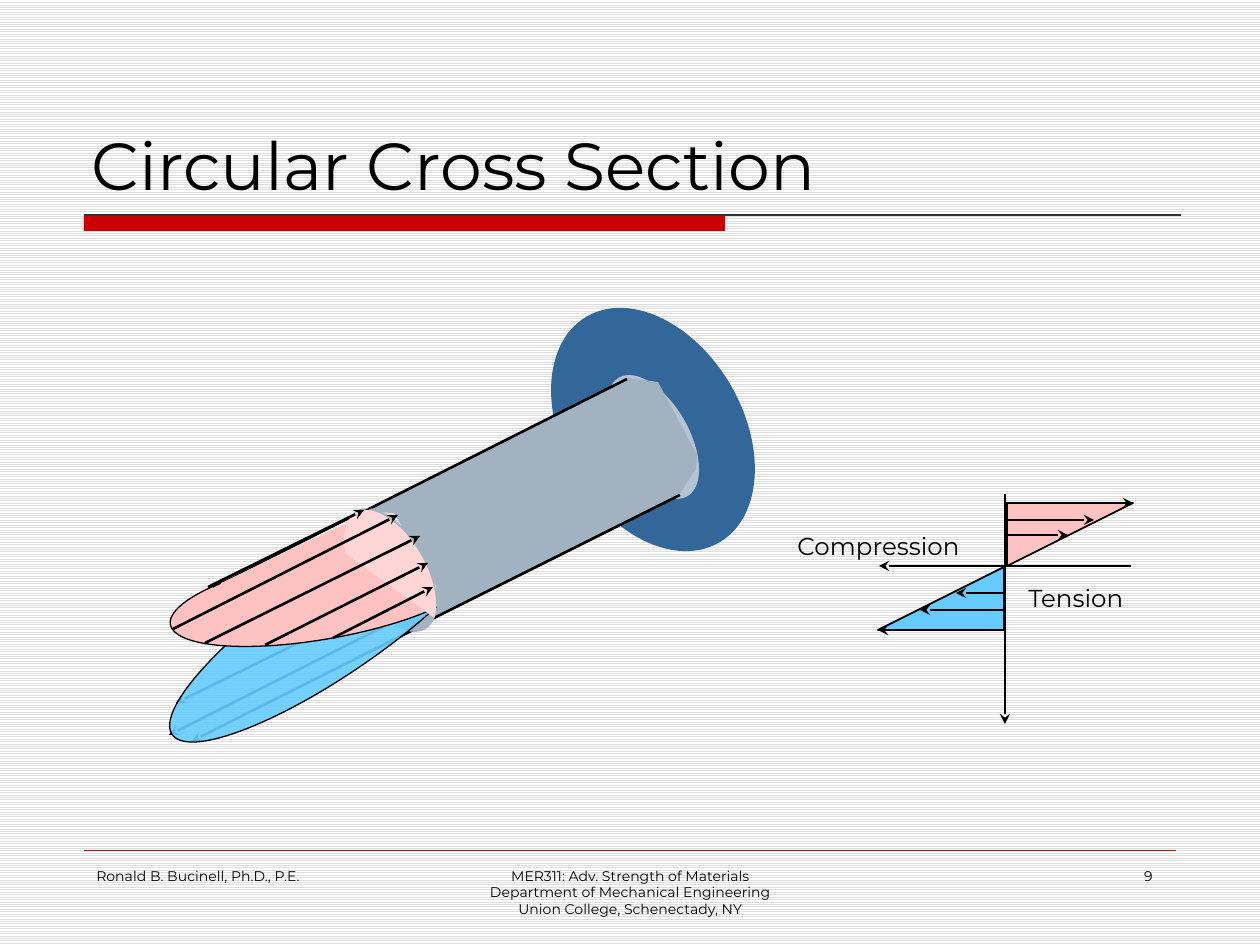
from dataclasses import dataclass

from lxml.etree import SubElement
from pptx import Presentation
from pptx.dml.color import RGBColor
from pptx.enum.dml import MSO_PATTERN
from pptx.enum.shapes import MSO_CONNECTOR, MSO_SHAPE as SHAPE
from pptx.enum.text import MSO_ANCHOR as ANCHOR, PP_ALIGN as ALIGN
from pptx.oxml.ns import qn
from pptx.util import Emu, Inches, Pt

PX = 914400 / 126


@dataclass(frozen=True)
class Theme:
    font: str = "Montserrat"
    title: int = 38
    label: int = 14
    footer: int = 8
    ink: str = "000000"
    rule: str = "333333"
    accent: str = "CC0000"
    stripe: str = "DDDDDD"
    paper: str = "FFFFFF"
    wall: str = "336699"
    shaft: str = "A3B2C1"
    shaft_end: str = "B5C4D5"
    compression: str = "FFC2C2"
    section: str = "FFD6D6"
    tension: str = "66CCFF"


def emu(*lengths):
    return [Emu(round(v * PX)) for v in lengths]


def rgb(color):
    return RGBColor.from_string(color)


class Deck:
    def __init__(self, theme):
        self.theme = theme
        self.prs = Presentation()
        self.prs.slide_width, self.prs.slide_height = Inches(10), Inches(7.5)
        self.s = self.prs.slides.add_slide(self.prs.slide_layouts[5])
        fill = self.s.background.fill
        fill.patterned()
        fill.pattern = MSO_PATTERN.LIGHT_HORIZONTAL
        fill.fore_color.rgb, fill.back_color.rgb = rgb(theme.stripe), rgb(theme.paper)

    def style(self, sp, fill, line=0, rot=0, alpha=None):
        """Apply fill, black outline width (0 for none), rotation and opacity in percent."""
        sp.shadow.inherit = False
        sp.rotation = rot
        sp.fill.solid()
        sp.fill.fore_color.rgb = rgb(fill)
        if alpha:
            color = sp._element.spPr.find(qn("a:solidFill"))[0]
            SubElement(color, qn("a:alpha")).set("val", str(alpha * 1000))
        if line:
            sp.line.color.rgb, sp.line.width = rgb(self.theme.ink), Pt(line)
        else:
            sp.line.fill.background()

    def shape(self, kind, box, fill, adj=(), **look):
        sp = self.s.shapes.add_shape(kind, *emu(*box))
        for i, value in enumerate(adj):
            sp.adjustments[i] = value
        self.style(sp, fill, **look)

    def polygon(self, points, fill, **look):
        builder = self.s.shapes.build_freeform(*points[0], scale=PX)
        builder.add_line_segments(points[1:], close=True)
        self.style(builder.convert_to_shape(), fill, **look)

    def line(self, start, end, width=1.5, color=None, arrow=False):
        sp = self.s.shapes.add_connector(MSO_CONNECTOR.STRAIGHT, *emu(*start, *end))
        sp.line.color.rgb, sp.line.width = rgb(color or self.theme.ink), Pt(width)
        spPr = sp._element.spPr
        if arrow:
            SubElement(spPr.find(qn("a:ln")), qn("a:tailEnd")).set("type", "stealth")
        SubElement(spPr, qn("a:effectLst"))

    def arrows(self, pairs, width=1.5):
        for start, end in pairs:
            self.line(start, end, width, arrow=True)

    def fill_text(self, sp, lines, size, align=ALIGN.LEFT, **frame_format):
        tf = sp.text_frame
        for name, value in frame_format.items():
            setattr(tf, name, value)
        tf.text = "\n".join(lines)
        for p in tf.paragraphs:
            p.alignment = align
            for r in p.runs:
                for name, value in {"name": self.theme.font, "size": Pt(size)}.items():
                    setattr(r.font, name, value)
                r.font.color.rgb = rgb(self.theme.ink)

    def title(self, box, text):
        sp = self.s.shapes.title
        sp.left, sp.top, sp.width, sp.height = emu(*box)
        self.fill_text(sp, [text], self.theme.title, vertical_anchor=ANCHOR.BOTTOM)

    def text(self, box, lines, size, align=ALIGN.LEFT, wrap=True):
        sp = self.s.shapes.add_textbox(*emu(*box))
        self.fill_text(sp, lines, size, align, word_wrap=wrap)


def frame(deck, t):
    deck.shape(SHAPE.RECTANGLE, (84, 215, 641, 16), t.accent)
    deck.line((84, 215), (1181, 215), 0.75, t.rule)
    deck.line((84, 850), (1176, 850), 0.25, t.accent)
    deck.title((79, 42, 1103, 168), "Circular Cross Section")
    course = ["MER311: Adv. Strength of Materials",
              "Department of Mechanical Engineering",
              "Union College, Schenectady, NY"]
    for left, width, lines, align in [
            (84, 262, ["Ronald B. Bucinell, Ph.D., P.E."], ALIGN.LEFT),
            (431, 399, course, ALIGN.CENTER),
            (903, 262, ["9"], ALIGN.RIGHT)]:
        deck.text((left, 861, width, 63), lines, t.footer, align)


def shaft(deck, t):
    section = 137, 71
    tilt = 60

    def section_box(cx, cy):
        w, h = section
        return cx - w / 2, cy - h / 2, w, h

    deck.arrows([((406, 590), (176, 703)), ((421, 626), (192, 741))])
    deck.shape(SHAPE.OVAL, (522, 340, 262, 179), t.wall, rot=59.4)
    deck.shape(SHAPE.OVAL, section_box(653, 437), t.shaft_end, rot=tilt)
    deck.polygon([(364, 512), (629, 378), (658, 382), (697, 455), (696, 469),
                  (679, 495), (425, 622), (435, 599), (436, 586), (394, 513)], t.shaft)
    deck.line((420, 625), (680, 495))
    deck.line((367, 510), (627, 379))
    deck.shape(SHAPE.OVAL, section_box(391, 570), t.shaft, rot=tilt)

    deck.arrows([((383, 575), (242, 645))], 1)
    deck.arrows([((383, 627), (169, 735))])
    deck.shape(SHAPE.CHORD, (284, 426, 101, 394), t.tension,
               adj=(177.45, 135.62), line=0.75, rot=55.5, alpha=90)
    deck.shape(SHAPE.CHORD, (282, 442, 83, 311), t.compression,
               adj=(171.36, 129.28), line=0.75, rot=80)
    deck.line((213, 587), (464, 461), 0.75)
    deck.polygon([(221, 585), (363, 514), (423, 563), (282, 636)], t.compression, rot=1)
    deck.shape(SHAPE.CHORD, section_box(390, 572), t.section, adj=(85.8, 207.6), rot=tilt)
    deck.arrows([((173, 629), (398, 515)), ((208, 587), (364, 510)),
                 ((205, 643), (420, 536)), ((265, 645), (428, 563)),
                 ((333, 638), (433, 587))])


def stress_diagram(deck, t):
    axis_x, axis_y = 1005, 566
    deck.arrows([((axis_x, 494), (axis_x, 724))], 1)
    for left, top, fill, rot in [(878, 567, t.tension, 0), (1007, 503, t.compression, 180)]:
        deck.shape(SHAPE.ISOSCELES_TRIANGLE, (left, top, 126, 63), fill,
                   adj=(1,), line=1, rot=rot)
    deck.arrows([((1131, axis_y), (879, axis_y))], 1)
    tips = [(878, 630), (956, 593), (920, 610), (1133, 503), (1068, 535), (1094, 520)]
    deck.arrows([((axis_x, y), (x, y)) for x, y in tips], 1)
    deck.text((785, 525, 202, 43), ["Compression"], t.label, wrap=False)
    deck.text((1016, 577, 131, 43), ["Tension"], t.label, wrap=False)


def main():
    theme = Theme()
    deck = Deck(theme)
    for draw in (frame, shaft, stress_diagram):
        draw(deck, theme)
    deck.prs.save("out.pptx")


if __name__ == "__main__":
    main()
